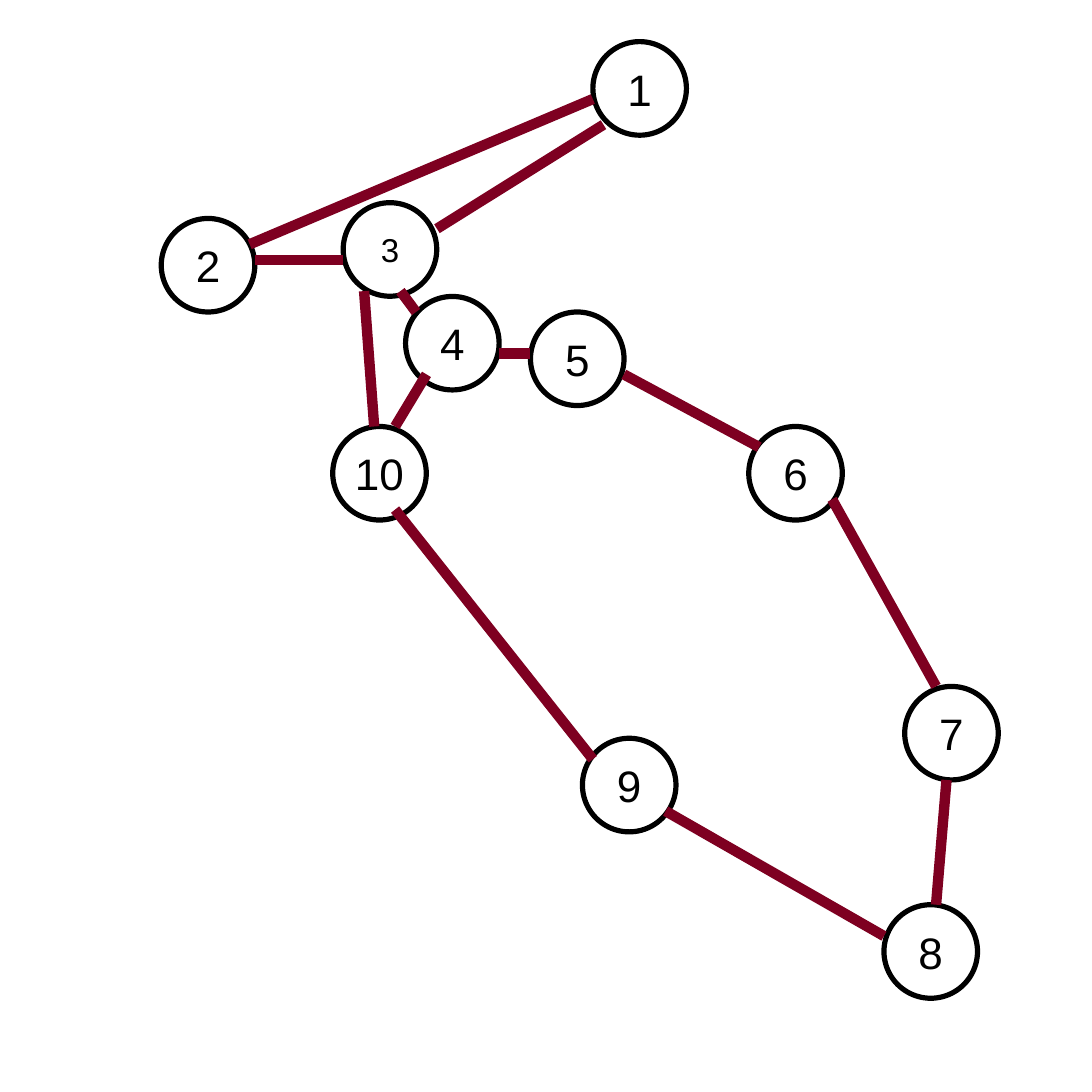
import pptx
import pptx.util
import pptx.dml.color
import pptx.enum.shapes
import pptx.enum.text
import pptx.oxml.ns
import lxml.etree

Pt = pptx.util.Pt


def rgb(value):
    return pptx.dml.color.RGBColor.from_string(value)


prs = pptx.Presentation()
prs.slide_width = prs.slide_height = Pt(595.3)
layout = prs.slide_layouts[6]
for base in (layout, prs.slide_master):
    for ph in list(base.placeholders):
        ph._element.getparent().remove(ph._element)
s = prs.slides.add_slide(layout)

diameter = 51
nodes = [
    ("1", 323.2, 22.7), ("2", 87.9, 119.1), ("3", 187.1, 110.5),
    ("4", 221.1, 161.6), ("5", 289.2, 170.1), ("6", 408.2, 232.5),
    ("7", 493.2, 374.2), ("8", 481.9, 493.2), ("9", 317.5, 402.5),
    ("10", 181.4, 232.5),
]
for label, x, y in nodes:
    sp = s.shapes.add_shape(pptx.enum.shapes.MSO_SHAPE.OVAL,
                            Pt(x), Pt(y), Pt(diameter), Pt(diameter))
    sp.shadow.inherit = False
    sp.fill.solid()
    sp.fill.fore_color.rgb = rgb("FFFFFF")
    sp.line.color.rgb = rgb("000000")
    sp.line.width = Pt(2.83)
    tf = sp.text_frame
    tf.word_wrap = False
    tf.vertical_anchor = pptx.enum.text.MSO_ANCHOR.MIDDLE
    tf.margin_left = tf.margin_right = Pt(8.5)
    tf.margin_top = tf.margin_bottom = Pt(5)
    p = tf.paragraphs[0]
    p.alignment = pptx.enum.text.PP_ALIGN.CENTER
    r = p.add_run()
    r.text = label
    r.font.name = "Arial"
    r.font.size = Pt(18 if label == "3" else 24)
    r.font.color.rgb = rgb("000000")

edges = [
    (136.1, 133.2, 323.2, 54),
    (238.2, 124.7, 329, 68),
    (187.1, 141.7, 139, 141.7),
    (204, 232.5, 198.5, 158.7),
    (215.4, 232.5, 232.5, 204.1),
    (226.8, 170.1, 218.3, 158.7),
    (272.1, 192.8, 289.2, 192.8),
    (413.9, 243.8, 340.1, 204.1),
    (510.3, 374.2, 453.6, 272.2),
    (510.3, 493.2, 516, 425.2),
    (481.9, 510.3, 362.9, 442.2),
    (323.2, 413.9, 215.4, 277.8),
]
for x1, y1, x2, y2 in edges:
    line = s.shapes.add_connector(pptx.enum.shapes.MSO_CONNECTOR.STRAIGHT,
                                  Pt(x1), Pt(y1), Pt(x2), Pt(y2))
    line.line.color.rgb = rgb("7E0021")
    line.line.width = Pt(5.67)
    lxml.etree.SubElement(line._element.spPr, pptx.oxml.ns.qn("a:effectLst"))

prs.save("out.pptx")
